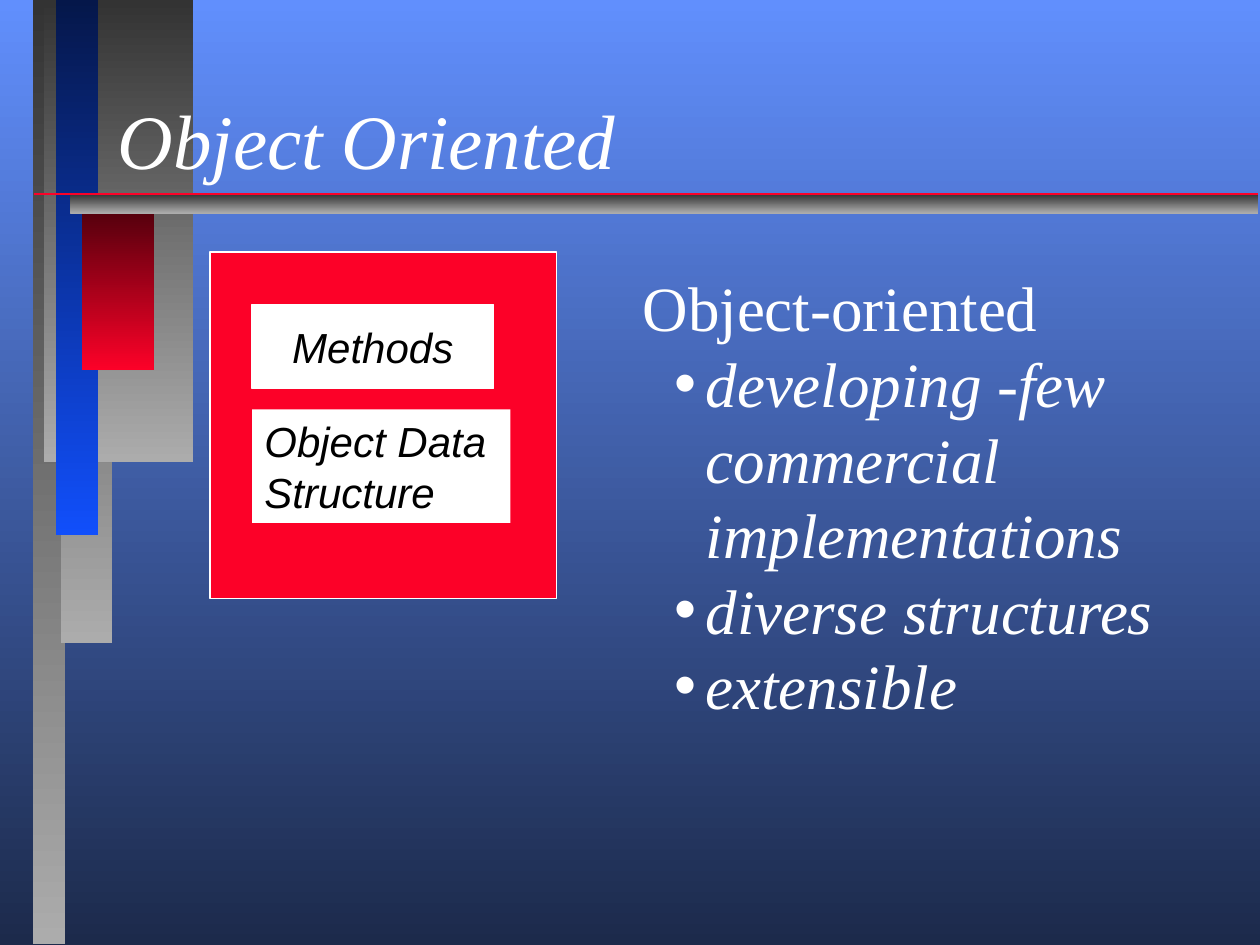
from lxml.etree import SubElement
from pptx import Presentation
from pptx.dml.color import RGBColor
from pptx.enum.shapes import MSO_CONNECTOR, MSO_SHAPE
from pptx.enum.text import MSO_ANCHOR, MSO_AUTO_SIZE, PP_ALIGN
from pptx.oxml.ns import qn
from pptx.util import Pt

COLORS = {"white": "FFFFFF", "black": "000000", "red": "FC0128",
          "dark_red": "4A000B", "blue": "114FFB", "navy": "05174A",
          "dark_gray": "333333", "gray": "ACACAC",
          "sky": "618FFD", "night": "1C2A4B"}
SERIF, SANS = "Times New Roman", "Arial"

TITLE = "Object Oriented"
HEADING = "Object-oriented"
POINTS = ["developing -few commercial implementations",
          "diverse structures", "extensible"]
METHODS = ["Methods"]
DATA = ["Object Data", "Structure"]

GRAY_FADE = ("dark_gray", "gray")
# left, top, width, height, gradient
BARS = [
    (18.9, 0, 18.4, 539.3, GRAY_FADE),
    (34.8, 0, 29.2, 367.2, GRAY_FADE),
    (25.2, 0, 85.3, 264, GRAY_FADE),
    (32, 0, 24, 305.7, ("navy", "blue")),
    (46.9, 115.2, 41, 96, ("dark_red", "red")),
    (40.2, 111, 678.8, 10.8, GRAY_FADE),
]


def rgb(name):
    return RGBColor.from_string(COLORS[name])


def fade(fill, names):
    """Vertical gradient from the first colour down to the second."""
    fill.gradient()
    fill.gradient_angle = 270
    for stop, name in zip(fill.gradient_stops, names):
        stop.color.rgb = rgb(name)


def add_box(slide, left, top, width, height, fill, line=None):
    sp = slide.shapes.add_shape(MSO_SHAPE.RECTANGLE, Pt(left), Pt(top),
                                Pt(width), Pt(height))
    sp.shadow.inherit = False
    if isinstance(fill, tuple):
        fade(sp.fill, fill)
    else:
        sp.fill.solid()
        sp.fill.fore_color.rgb = rgb(fill)
    if line:
        sp.line.color.rgb = rgb(line)
        sp.line.width = Pt(1)
    else:
        sp.line.fill.background()
    return sp


def place(sp, left, top, width, height):
    sp.left, sp.top, sp.width, sp.height = map(Pt, (left, top, width, height))


def write(sp, lines, size, font, color="white", italic=True,
          align=PP_ALIGN.LEFT, anchor=MSO_ANCHOR.TOP, wrap=True):
    tf = sp.text_frame
    tf.auto_size = MSO_AUTO_SIZE.NONE
    tf.word_wrap = wrap
    tf.vertical_anchor = anchor
    for i, text in enumerate(lines):
        p = tf.paragraphs[0] if i == 0 else tf.add_paragraph()
        p.alignment = align
        p.space_before = p.space_after = Pt(0)
        p.line_spacing = Pt(round(size * 1.2, 1))
        r = p.add_run()
        r.text = text
        r.font.size, r.font.name = Pt(size), font
        r.font.bold, r.font.italic = False, italic
        r.font.color.rgb = rgb(color)
    return tf


def set_bullet(p, char=None):
    pPr = p._p.get_or_add_pPr()
    pPr.set("marL", str(Pt(36 if char else 0)))
    pPr.set("indent", str(Pt(-18 if char else 0)))
    if char:
        SubElement(pPr, qn("a:buChar"), char=char)
    else:
        SubElement(pPr, qn("a:buNone"))


prs = Presentation()
prs.slide_width, prs.slide_height = Pt(720), Pt(540)
slide = prs.slides.add_slide(prs.slide_layouts[1])
title, body = slide.placeholders
fade(slide.background.fill, ("sky", "night"))

# Decorative bars and the rule under the title
for *box, names in BARS:
    add_box(slide, *box, names)
rule = slide.shapes.add_connector(MSO_CONNECTOR.STRAIGHT, Pt(19.4), Pt(110.9),
                                  Pt(718.6), Pt(110.9))
rule.line.color.rgb = rgb("red")
rule.line.width = Pt(1)
SubElement(rule._element.spPr, qn("a:effectLst"))

# Object with its methods and data structure
add_box(slide, 120, 144, 198, 198, "red", "white")
methods = add_box(slide, 144, 174, 138, 48, "white", "white")
write(methods, METHODS, 24, SANS, color="black", align=PP_ALIGN.CENTER,
      anchor=MSO_ANCHOR.MIDDLE, wrap=False)
data = add_box(slide, 144, 234, 147.6, 64.8, "white")
write(data, DATA, 24, SANS, color="black", wrap=False)

# Title and list, brought in front of the bars
place(title, 60, 18, 612, 91.4)
write(title, [TITLE], 44, SERIF, anchor=MSO_ANCHOR.BOTTOM)
place(body, 360, 150, 336, 266.4)
tf = write(body, [HEADING] + POINTS, 36, SERIF)
tf.paragraphs[0].runs[0].font.italic = False
for i, p in enumerate(tf.paragraphs):
    set_bullet(p, "•" if i else None)
for sp in (title, body):
    slide.shapes._spTree.append(sp._element)

prs.save("out.pptx")
